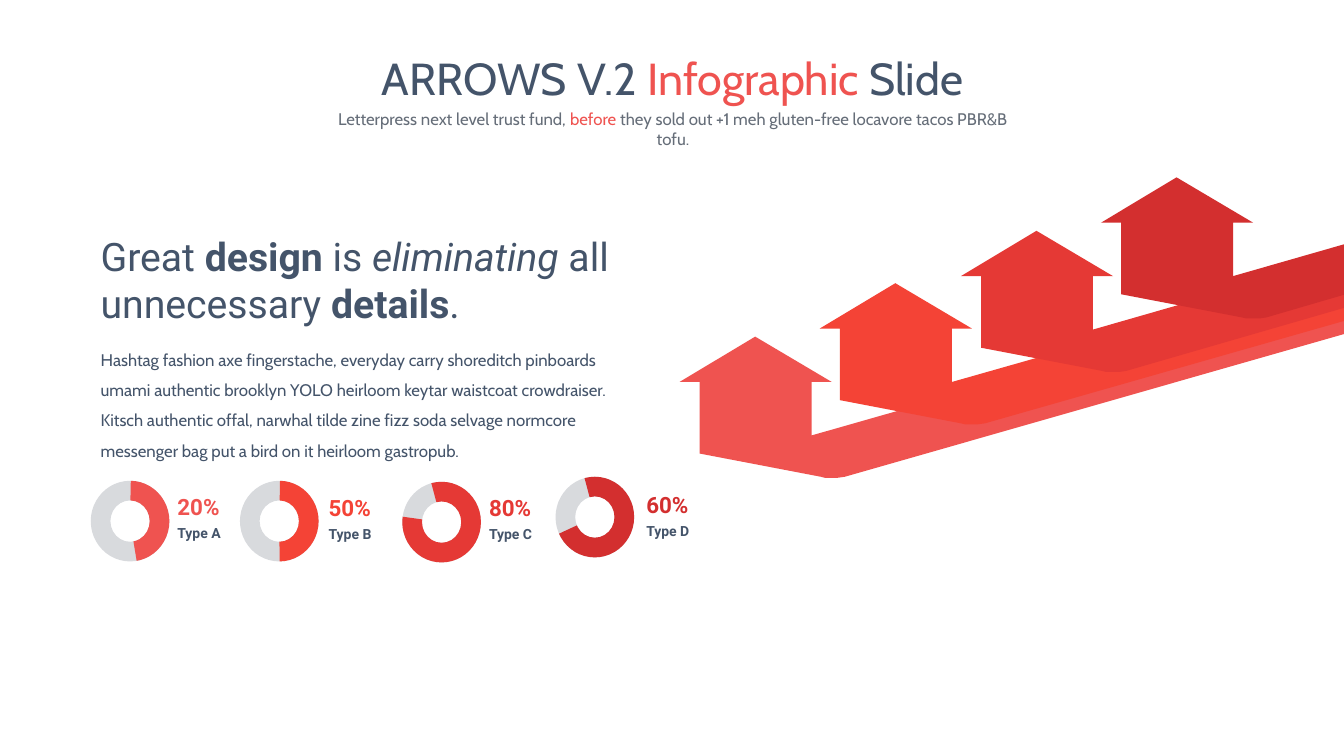
"""Build the arrows infographic slide with four ring gauges."""
from dataclasses import dataclass

from pptx import Presentation
from pptx.dml.color import RGBColor
from pptx.enum.shapes import MSO_SHAPE
from pptx.enum.text import MSO_ANCHOR, MSO_AUTO_SIZE, PP_ALIGN
from pptx.shapes.autoshape import Shape
from pptx.slide import Slide
from pptx.util import Pt

EMU_PER_PX = 9144
SLIDE_WIDTH, SLIDE_HEIGHT = 1333, 750

SLATE = RGBColor(0x44, 0x54, 0x6A)
GREY = RGBColor(0x65, 0x6D, 0x78)
RING_GREY = RGBColor(0xD8, 0xDA, 0xDD)
CORAL = RGBColor(0xEF, 0x53, 0x50)
SCARLET = RGBColor(0xF4, 0x43, 0x36)
RED = RGBColor(0xE5, 0x39, 0x35)
CRIMSON = RGBColor(0xD3, 0x2F, 0x2F)
ARROW_COLORS = (CORAL, SCARLET, RED, CRIMSON)

ARROW_RIGHT = 1338
BAND_HEIGHT = 50
ARROW_OUTLINE = (
    (56, 98), (56, 45), (76, 45), (0, 0), (-75, 45), (-55, 45), (-55, 116),
    (65, 139), (69, 140), (75, 140), (82, 140), (89, 139),
)
RING_WIDTH, RING_HEIGHT = 78, 80
ADJUSTMENT_PER_DEGREE = 0.6


@dataclass(frozen=True)
class Box:
    left: int
    top: int
    width: int
    height: int

    def emu(self) -> tuple[int, int, int, int]:
        return px(self.left), px(self.top), px(self.width), px(self.height)


@dataclass(frozen=True)
class Span:
    text: str
    color: RGBColor = SLATE
    bold: bool = False
    italic: bool = False


@dataclass(frozen=True)
class Gauge:
    percent: str
    caption: str
    color: RGBColor
    ring_left: int
    ring_top: int
    label_left: int
    label_top: int
    start_angle: float
    end_angle: float


GAUGES = (
    Gauge("20%", "Type A", CORAL, 90, 477, 176, 492, 271.06, 80.55),
    Gauge("50%", "Type B", SCARLET, 238, 477, 326, 493, 271.06, 89.44),
    Gauge("80%", "Type C", RED, 399, 478, 485, 493, 255.23, 187.88),
    Gauge("60%", "Type D", CRIMSON, 551, 473, 641, 490, 255.23, 155.07),
)


def px(length: int) -> int:
    return length * EMU_PER_PX


def write(shape: Shape, spans: list[Span], font_name: str, size: int,
          alignment: PP_ALIGN = PP_ALIGN.LEFT, line_spacing: float = 1.0) -> None:
    frame = shape.text_frame
    frame.word_wrap = True
    frame.auto_size = MSO_AUTO_SIZE.NONE
    frame.vertical_anchor = MSO_ANCHOR.TOP
    paragraph = frame.paragraphs[0]
    paragraph.alignment = alignment
    paragraph.line_spacing = line_spacing
    paragraph.space_before = Pt(0)
    for span in spans:
        run = paragraph.add_run()
        run.text = span.text
        run.font.name = font_name
        run.font.size = Pt(size)
        run.font.color.rgb = span.color
        run.font.bold = span.bold
        run.font.italic = span.italic


def place(shape: Shape, box: Box) -> None:
    shape.left, shape.top, shape.width, shape.height = box.emu()


def paint(shape: Shape, color: RGBColor) -> None:
    shape.shadow.inherit = False
    shape.fill.solid()
    shape.fill.fore_color.rgb = color
    shape.line.fill.background()


def draw_arrow(page: Slide, index: int, color: RGBColor) -> None:
    tip_x = 749 + round(index * 418 / 3)
    tip_y = 334 - round(index * 158 / 3)
    band_top = 280 - 13 * index
    points = [(tip_x + x, tip_y + y) for x, y in ARROW_OUTLINE]
    points.append((ARROW_RIGHT, band_top + BAND_HEIGHT))
    builder = page.shapes.build_freeform(ARROW_RIGHT, band_top, scale=EMU_PER_PX)
    builder.add_line_segments(points, close=True)
    paint(builder.convert_to_shape(), color)


def draw_label(page: Slide, box: Box, span: Span, size: int) -> None:
    label = page.shapes.add_textbox(*box.emu())
    frame = label.text_frame
    frame.margin_left = frame.margin_right = frame.margin_top = frame.margin_bottom = 0
    write(label, [span], "Roboto", size, line_spacing=0.9)


def draw_gauge(page: Slide, gauge: Gauge) -> None:
    ring_box = Box(gauge.ring_left, gauge.ring_top, RING_WIDTH, RING_HEIGHT)
    paint(page.shapes.add_shape(MSO_SHAPE.DONUT, *ring_box.emu()), RING_GREY)
    arc = page.shapes.add_shape(MSO_SHAPE.BLOCK_ARC, *ring_box.emu())
    arc.adjustments[0] = gauge.start_angle * ADJUSTMENT_PER_DEGREE
    arc.adjustments[1] = gauge.end_angle * ADJUSTMENT_PER_DEGREE
    arc.adjustments[2] = 0.25
    paint(arc, gauge.color)
    draw_label(page, Box(gauge.label_left, gauge.label_top, 49, 29),
               Span(gauge.percent, gauge.color, bold=True), 16)
    draw_label(page, Box(gauge.label_left, gauge.label_top + 30, 49, 23),
               Span(gauge.caption, bold=True), 10)


def main() -> None:
    deck = Presentation()
    deck.slide_width, deck.slide_height = px(SLIDE_WIDTH), px(SLIDE_HEIGHT)
    page = deck.slides.add_slide(deck.slide_layouts[0])

    title, subtitle = page.shapes.title, page.placeholders[1]
    place(title, Box(254, 45, 826, 64))
    write(title, [Span("ARROWS V.2 "), Span("Infographic ", CORAL), Span("Slide")],
          "Cabin", 32, PP_ALIGN.CENTER)
    place(subtitle, Box(320, 103, 695, 30))
    write(subtitle, [
        Span("Letterpress next level trust fund, ", GREY),
        Span("before", CORAL),
        Span(" they sold out +1 meh gluten-free locavore tacos PBR&B tofu.", GREY),
    ], "Cabin", 12, PP_ALIGN.CENTER)

    for index, color in enumerate(ARROW_COLORS):
        draw_arrow(page, index, color)

    heading = page.shapes.add_textbox(*Box(90, 226, 546, 104).emu())
    write(heading, [
        Span("Great "), Span("design", bold=True), Span(" is "),
        Span("eliminating", italic=True), Span(" all unnecessary "),
        Span("details", bold=True), Span("."),
    ], "Roboto", 28)

    story = page.shapes.add_textbox(*Box(90, 332, 532, 131).emu())
    write(story, [Span(
        "Hashtag fashion axe fingerstache, everyday carry shoreditch pinboards "
        "umami authentic brooklyn YOLO heirloom keytar waistcoat crowdraiser. "
        "Kitsch authentic offal, narwhal tilde zine fizz soda selvage normcore "
        "messenger bag put a bird on it heirloom gastropub."
    )], "Cabin", 12, line_spacing=1.5)

    for gauge in GAUGES:
        draw_gauge(page, gauge)

    deck.save("out.pptx")


if __name__ == "__main__":
    main()
